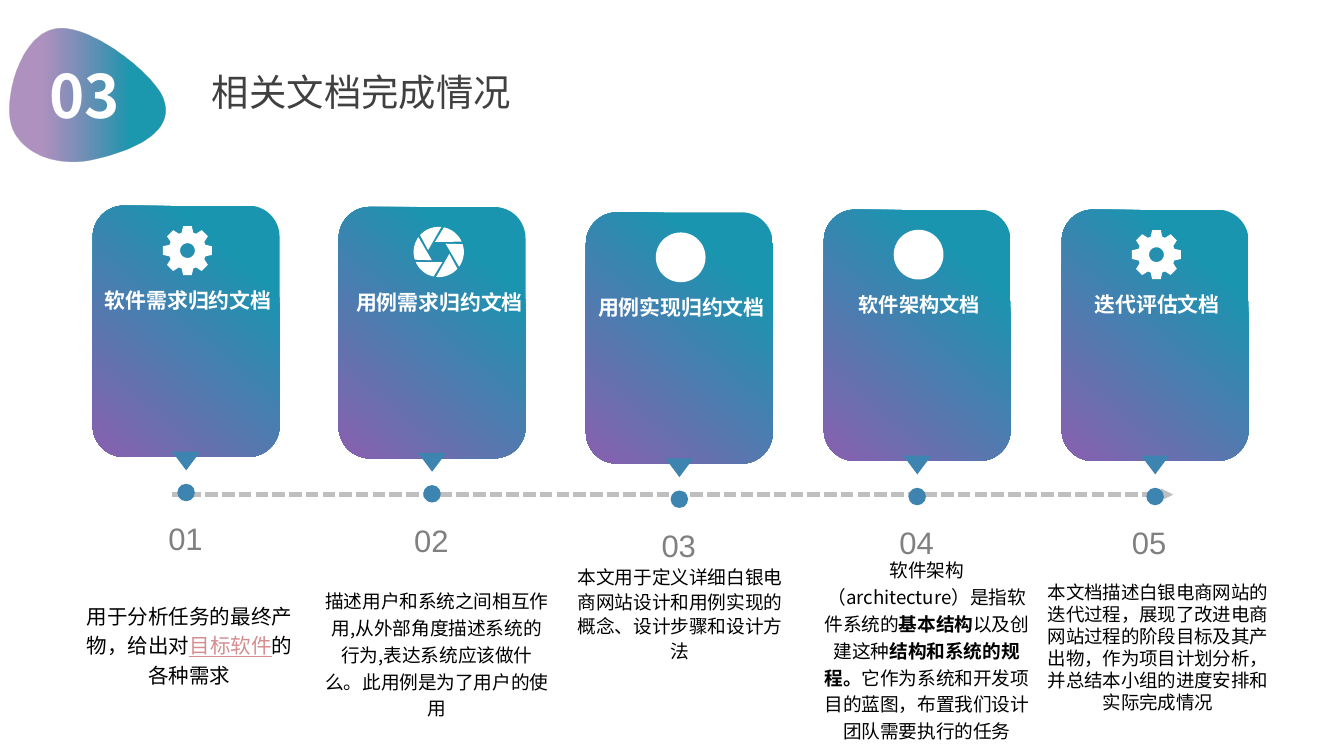
import math
from dataclasses import dataclass
from typing import NamedTuple, Optional

import lxml.etree
import pptx
import pptx.dml.color
import pptx.enum.dml
import pptx.enum.lang
import pptx.enum.shapes
import pptx.enum.text
import pptx.oxml.ns
import pptx.util

PX = 9144  # EMU per px, 100 px to the inch
RGB = pptx.dml.color.RGBColor
WHITE = RGB(0xFF, 0xFF, 0xFF)
BLACK = RGB(0, 0, 0)
TEAL = RGB(0x1A, 0x95, 0xB0)
PURPLE = RGB(0x89, 0x5F, 0xAF)
BLUE = RGB(0x3D, 0x84, 0xB0)
BADGE_TEAL = RGB(0x1C, 0x98, 0xAF)
BADGE_PURPLE = RGB(0x87, 0x5D, 0xA2)
LINE_GRAY = RGB(0xBF, 0xBF, 0xBF)
NUMBER_GRAY = RGB(0x80, 0x80, 0x80)
HEADING_GRAY = RGB(0x40, 0x40, 0x40)
PINK = RGB(0xD4, 0x8E, 0x90)
CJK = "Noto Sans CJK SC"
PRESET = pptx.enum.shapes.MSO_SHAPE
MIDDLE = pptx.enum.text.MSO_ANCHOR.MIDDLE
TOP = pptx.enum.text.MSO_ANCHOR.TOP
CENTER = pptx.enum.text.PP_ALIGN.CENTER
LEFT = pptx.enum.text.PP_ALIGN.LEFT
FIXED = pptx.enum.text.MSO_AUTO_SIZE.NONE
GROW = pptx.enum.text.MSO_AUTO_SIZE.SHAPE_TO_FIT_TEXT

Point = tuple[float, float]


class Box(NamedTuple):
    left: int
    top: int
    width: int
    height: int

    def emu(self) -> list[int]:
        return [value * PX for value in self]


class Span(NamedTuple):
    text: str
    bold: bool = False
    underline: bool = False
    color: Optional[RGB] = None


@dataclass
class Step:
    left: int
    top: int
    icon: str
    title: str
    body: list[Span]
    body_box: Box
    body_size: float = 10
    spacing: Optional[float] = None
    title_size: float = 11.2
    header_shift: int = 0
    number_shift: int = 0


STEPS = [
    Step(69, 153, "gear", "软件需求归约文档",
         [Span("用于分析任务的最终产物，给出对"),
          Span("目标软件", underline=True, color=PINK), Span("的各种需求")],
         Box(59, 412, 164, 133), body_size=11, spacing=1.2),
    Step(252, 154, "aperture", "用例需求归约文档",
         [Span("描述用户和系统之间相互作用,从外部角度描述系统的行为,"
               "表达系统应该做什么。此用例是为了用户的使用")],
         Box(242, 414, 166, 143), spacing=1.2, header_shift=4),
    Step(436, 158, "disc", "用例实现归约文档",
         [Span("本文用于定义详细白银电商网站设计和用例实现的概念、设计步骤和设计方法")],
         Box(426, 418, 160, 76), spacing=1.1),
    Step(613, 156, "disc", "软件架构文档",
         [Span("软件架构（architecture）是指软件系统的"), Span("基本结构", bold=True),
          Span("以及创建这种"), Span("结构和系统的规程。", bold=True),
          Span("它作为系统和开发项目的蓝图，布置我们设计团队需要执行的任务")],
         Box(610, 418, 159, 129), spacing=1.2, title_size=10.8),
    Step(790, 156, "gear", "迭代评估文档",
         [Span("本文档描述白银电商网站的迭代过程，展现了改进电商网站过程的阶段目标及其产出物，"
               "作为项目计划分析，并总结本小组的进度安排和实际完成情况")],
         Box(779, 418, 165, 127), body_size=9.9, number_shift=-4),
]


def add_text(page, box: Box, spans: list[Span], *, size: float, font: str, color: RGB,
             bold: bool = False, wrap: bool = True, inset: bool = False, fit=FIXED,
             align=CENTER, anchor=MIDDLE, spacing: Optional[float] = None) -> None:
    frame = page.shapes.add_textbox(*box.emu()).text_frame
    frame.auto_size = fit
    frame.word_wrap = wrap
    frame.vertical_anchor = anchor
    if not inset:
        frame.margin_left = frame.margin_right = 0
        frame.margin_top = frame.margin_bottom = 0
    para = frame.paragraphs[0]
    para.alignment = align
    para._p.get_or_add_pPr().set("hangingPunct", "0")
    if spacing:
        para.line_spacing = spacing
    for span in spans:
        run = para.add_run()
        run.text = span.text
        run.font.size = pptx.util.Pt(size)
        run.font.bold = bold or span.bold
        run.font.underline = span.underline
        run.font.color.rgb = span.color or color
        run.font.language_id = pptx.enum.lang.MSO_LANGUAGE_ID.SIMPLIFIED_CHINESE
        run.font.name = font
        east_asian = lxml.etree.SubElement(run.font._element, pptx.oxml.ns.qn("a:ea"))
        east_asian.set("typeface", CJK)


def paint(shape, color: RGB) -> None:
    shape.shadow.inherit = False
    shape.line.fill.background()
    shape.fill.solid()
    shape.fill.fore_color.rgb = color


def paint_gradient(shape, angle: int, stops: list[tuple[float, RGB]]) -> None:
    """Fill with two stops; the angle runs counter-clockwise."""
    shape.shadow.inherit = False
    shape.line.fill.background()
    shape.fill.gradient()
    shape.fill.gradient_angle = angle
    for stop, (position, color) in zip(shape.fill.gradient_stops, stops):
        stop.position = position
        stop.color.rgb = color


def add_preset(page, kind, box: Box, color: RGB):
    shape = page.shapes.add_shape(kind, *box.emu())
    paint(shape, color)
    return shape


def add_outline(page, contours: list[list[Point]]):
    scaled = [[(x * PX, y * PX) for x, y in contour] for contour in contours]
    builder = page.shapes.build_freeform(*scaled[0][0], scale=1.0)
    builder.add_line_segments(scaled[0][1:], close=True)
    for contour in scaled[1:]:
        builder.move_to(*contour[0])
        builder.add_line_segments(contour[1:], close=True)
    return builder.convert_to_shape()


def polar(center: Point, radius: float, degrees: float) -> Point:
    angle = math.radians(degrees)
    return center[0] + radius * math.cos(angle), center[1] + radius * math.sin(angle)


def bezier(*corners: Point) -> list[Point]:
    steps = 24
    points = []
    for t in (index / steps for index in range(steps)):
        weights = ((1 - t) ** 3, 3 * t * (1 - t) ** 2, 3 * t * t * (1 - t), t ** 3)
        points.append(tuple(sum(w * c[axis] for w, c in zip(weights, corners))
                            for axis in (0, 1)))
    return points


def add_icon(page, kind: str, box: Box) -> None:
    center = (box.left + box.width / 2, box.top + box.height / 2)
    if kind == "disc":
        add_preset(page, PRESET.OVAL, box, WHITE)
        return
    if kind == "gear":
        tooth = [(14, -18), (18.5, -10), (18.5, 10), (14, 18)]
        rim = [polar(center, radius, 45 * index + turn)
               for index in range(8) for radius, turn in tooth]
        hole = [polar(center, 5.5, turn) for turn in range(0, 360, 10)]
        contours = [rim, hole]
    else:
        contours = [[polar(center, 18.7, start - turn) for turn in range(0, 55, 6)]
                    + [polar(center, 8, start - 86)]
                    for start in range(-84, 276, 60)]
    paint(add_outline(page, contours), WHITE)


def add_timeline(page) -> None:
    line = page.shapes.add_connector(pptx.enum.shapes.MSO_CONNECTOR.STRAIGHT,
                                     128 * PX, 368 * PX, 873 * PX, 368 * PX)
    line.line.color.rgb = LINE_GRAY
    line.line.width = pptx.util.Pt(2.25)
    line.line.dash_style = pptx.enum.dml.MSO_LINE.SQUARE_DOT
    arrow = lxml.etree.SubElement(line.line._get_or_add_ln(), pptx.oxml.ns.qn("a:tailEnd"))
    arrow.set("type", "triangle")
    lxml.etree.SubElement(line._element.spPr, pptx.oxml.ns.qn("a:effectLst"))


def add_step(page, number: int, step: Step) -> None:
    left, top, header = step.left, step.top, step.left + step.header_shift
    add_preset(page, PRESET.OVAL, Box(left + 63, top + 207, 13, 13), BLUE)
    card = page.shapes.add_shape(PRESET.ROUNDED_RECTANGLE, *Box(left, top, 139, 187).emu())
    paint_gradient(card, 230, [(0.21, TEAL), (1, PURPLE)])
    pointer = add_preset(page, PRESET.ISOSCELES_TRIANGLE,
                         Box(left + 59, top + 183, 21, 14), BLUE)
    pointer.rotation = 180
    add_icon(page, step.icon, Box(header + 52, top + 15, 37, 37))
    add_text(page, Box(header + 19, top + 58, 104, 25), [Span(step.title)],
             size=step.title_size, font="Calibri", color=WHITE, bold=True,
             wrap=False, inset=True)
    add_text(page, Box(left + 58 + step.number_shift, top + 235, 22, 25),
             [Span(f"{number:02}")], size=16.6, font="Arial", color=NUMBER_GRAY, wrap=False)
    add_text(page, step.body_box, step.body, size=step.body_size, font=CJK, color=BLACK,
             spacing=step.spacing)


def add_heading(page) -> None:
    curves = [((9, 93), (15, 112), (39, 123), (65, 119)),
              ((65, 119), (90, 114), (132, 101), (121, 73)),
              ((121, 73), (114, 55), (66, 17), (41, 22)),
              ((41, 22), (15, 27), (3, 74), (9, 93))]
    badge = add_outline(page, [[point for curve in curves for point in bezier(*curve)]])
    paint_gradient(badge, 180, [(0.23, BADGE_TEAL), (0.79, BADGE_PURPLE)])
    colors = badge._element.spPr.findall(".//" + pptx.oxml.ns.qn("a:srgbClr"))
    lxml.etree.SubElement(colors[-1], pptx.oxml.ns.qn("a:alpha")).set("val", "67000")
    add_text(page, Box(37, 44, 69, 54), [Span("03")], size=32, font=CJK, color=WHITE,
             bold=True, fit=GROW, align=LEFT, anchor=TOP)
    add_text(page, Box(128, 45, 282, 47), [Span("相关文档完成情况")], size=20, font="Arial",
             color=HEADING_GRAY, wrap=False)


def main() -> None:
    deck = pptx.Presentation()
    deck.slide_width = 1000 * PX
    deck.slide_height = deck.slide_width * 9 // 16
    page = deck.slides.add_slide(deck.slide_layouts[6])
    add_timeline(page)
    for number, step in enumerate(STEPS, start=1):
        add_step(page, number, step)
    add_heading(page)
    deck.save("out.pptx")


if __name__ == "__main__":
    main()
